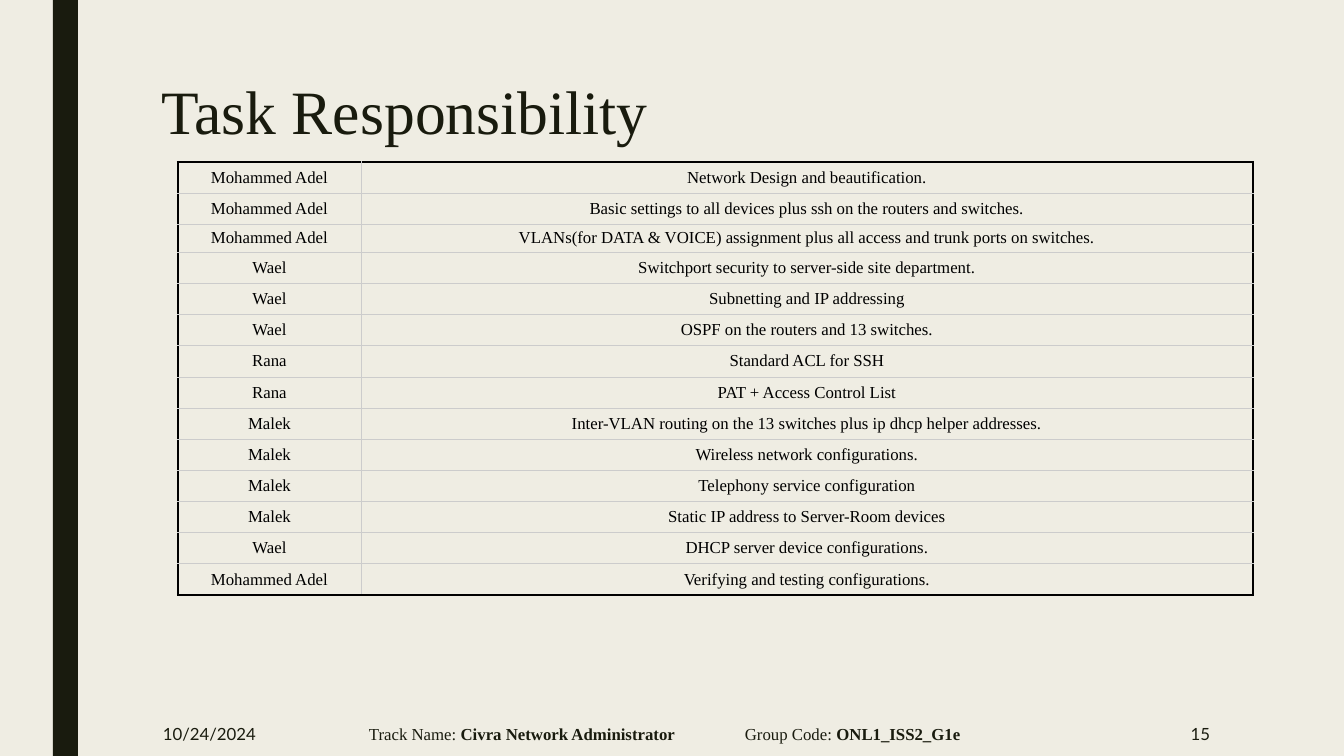
from dataclasses import dataclass

from lxml.etree import SubElement
from pptx import Presentation
from pptx.dml.color import RGBColor
from pptx.enum.shapes import MSO_SHAPE
from pptx.enum.text import MSO_ANCHOR as Anchor, PP_ALIGN as Align
from pptx.oxml import parse_xml
from pptx.oxml.ns import nsdecls, qn
from pptx.util import Pt

EMU_PER_INCH = 914400
PX_PER_INCH = 100.8


@dataclass(frozen=True)
class Theme:
    background: str = "EFEDE3"
    ink: str = "191B0E"
    table_text: str = "000000"
    frame: str = "000000"
    grid: str = "CCCCCC"
    serif: str = "Times New Roman"
    sans: str = "Lato"
    title_size: int = 44
    body_size: int = 12
    frame_width: float = 1.8
    grid_width: float = 0.6


THEME = Theme()

TASKS = [
    ("Mohammed Adel", "Network Design and beautification."),
    ("Mohammed Adel", "Basic settings to all devices plus ssh on the routers and switches."),
    ("Mohammed Adel", "VLANs(for DATA & VOICE) assignment plus all access and trunk ports on switches."),
    ("Wael", "Switchport security to server-side site department."),
    ("Wael", "Subnetting and IP addressing"),
    ("Wael", "OSPF on the routers and 13 switches."),
    ("Rana", "Standard ACL for SSH"),
    ("Rana", "PAT + Access Control List"),
    ("Malek", "Inter-VLAN routing on the 13 switches plus ip dhcp helper addresses."),
    ("Malek", "Wireless network configurations."),
    ("Malek", "Telephony service configuration"),
    ("Malek", "Static IP address to Server-Room devices"),
    ("Wael", "DHCP server device configurations."),
    ("Mohammed Adel", "Verifying and testing configurations."),
]
COMPACT_ROW = 2


def px(length):
    return round(length * EMU_PER_INCH / PX_PER_INCH)


def color(value):
    return RGBColor.from_string(value)


def format_run(run, font_name, size, ink=THEME.ink, bold=False):
    run.font.name = font_name
    run.font.size = Pt(size)
    run.font.bold = bold
    run.font.color.rgb = color(ink)


def add_side_bar(slide):
    bar = slide.shapes.add_shape(MSO_SHAPE.RECTANGLE, px(53), 0, px(25), px(756))
    bar.shadow.inherit = False
    bar.fill.solid()
    bar.fill.fore_color.rgb = color(THEME.ink)
    bar.line.fill.background()


def set_title(slide, text):
    title = slide.shapes.title
    title.left, title.top, title.width, title.height = px(151), px(76), px(1058), px(77)
    frame = title.text_frame
    frame.text = text
    frame.vertical_anchor = Anchor.BOTTOM
    paragraph = frame.paragraphs[0]
    paragraph.alignment = Align.LEFT
    paragraph.line_spacing = 0.89
    format_run(paragraph.runs[0], THEME.serif, THEME.title_size)


def add_footer(slide, left, width, text, font_name, align=Align.LEFT, bold_text=""):
    box = slide.shapes.add_textbox(px(left), px(712), px(width), px(44))
    frame = box.text_frame
    frame.word_wrap = True
    frame.vertical_anchor = Anchor.MIDDLE
    paragraph = frame.paragraphs[0]
    paragraph.text = text
    paragraph.alignment = align
    format_run(paragraph.runs[0], font_name, THEME.body_size)
    if bold_text:
        run = paragraph.add_run()
        run.text = bold_text
        format_run(run, font_name, THEME.body_size, bold=True)


def set_borders(cell, framed_sides):
    # Border lines come before the fill in the cell properties
    properties = cell._tc.get_or_add_tcPr()
    for index, side in enumerate("LRTB"):
        framed = side in framed_sides
        width = Pt(THEME.frame_width if framed else THEME.grid_width)
        line = parse_xml(f'<a:ln{side} {nsdecls("a")} w="{width}"/>')
        fill = SubElement(line, qn("a:solidFill"))
        SubElement(fill, qn("a:srgbClr"), val=THEME.frame if framed else THEME.grid)
        properties.insert(index, line)


def fill_cell(cell, text, framed_sides):
    cell.text_frame.text = text
    cell.vertical_anchor = Anchor.MIDDLE
    cell.margin_left = cell.margin_right = px(3)
    cell.margin_top = cell.margin_bottom = 0
    paragraph = cell.text_frame.paragraphs[0]
    paragraph.alignment = Align.CENTER
    format_run(paragraph.runs[0], THEME.serif, THEME.body_size, THEME.table_text)
    cell.fill.background()
    set_borders(cell, framed_sides)


def add_task_table(slide):
    column_widths = (183, 892)
    height, compact_height = 433, 28
    last_row = len(TASKS) - 1
    table = slide.shapes.add_table(
        len(TASKS), len(column_widths), px(178), px(162), px(sum(column_widths)), px(height)
    ).table
    table.first_row = table.horz_banding = False
    for column, width in zip(table.columns, column_widths):
        column.width = px(width)

    regular_height = (height - compact_height) / last_row
    for row_index, task in enumerate(TASKS):
        table.rows[row_index].height = px(
            compact_height if row_index == COMPACT_ROW else regular_height
        )
        outer = {0: "T", last_row: "B"}.get(row_index, "")
        for column_index, text in enumerate(task):
            cell = table.cell(row_index, column_index)
            fill_cell(cell, text, outer + "LR"[column_index])


def main():
    presentation = Presentation()
    presentation.slide_width, presentation.slide_height = px(1344), px(756)
    slide = presentation.slides.add_slide(presentation.slide_layouts[5])

    # Background, side bar and title
    slide.background.fill.solid()
    slide.background.fill.fore_color.rgb = color(THEME.background)
    add_side_bar(slide)
    set_title(slide, "Task Responsibility")

    # Who does what
    add_task_table(slide)

    # Footer
    add_footer(slide, 153, 133, "10/24/2024", THEME.sans)
    add_footer(slide, 359, 340, "Track Name: ", THEME.serif,
               bold_text="Civra Network Administrator")
    add_footer(slide, 735, 260, "Group Code: ", THEME.serif, bold_text="ONL1_ISS2_G1e")
    add_footer(slide, 1044, 176, "15", THEME.sans, Align.RIGHT)

    presentation.save("out.pptx")


if __name__ == "__main__":
    main()
